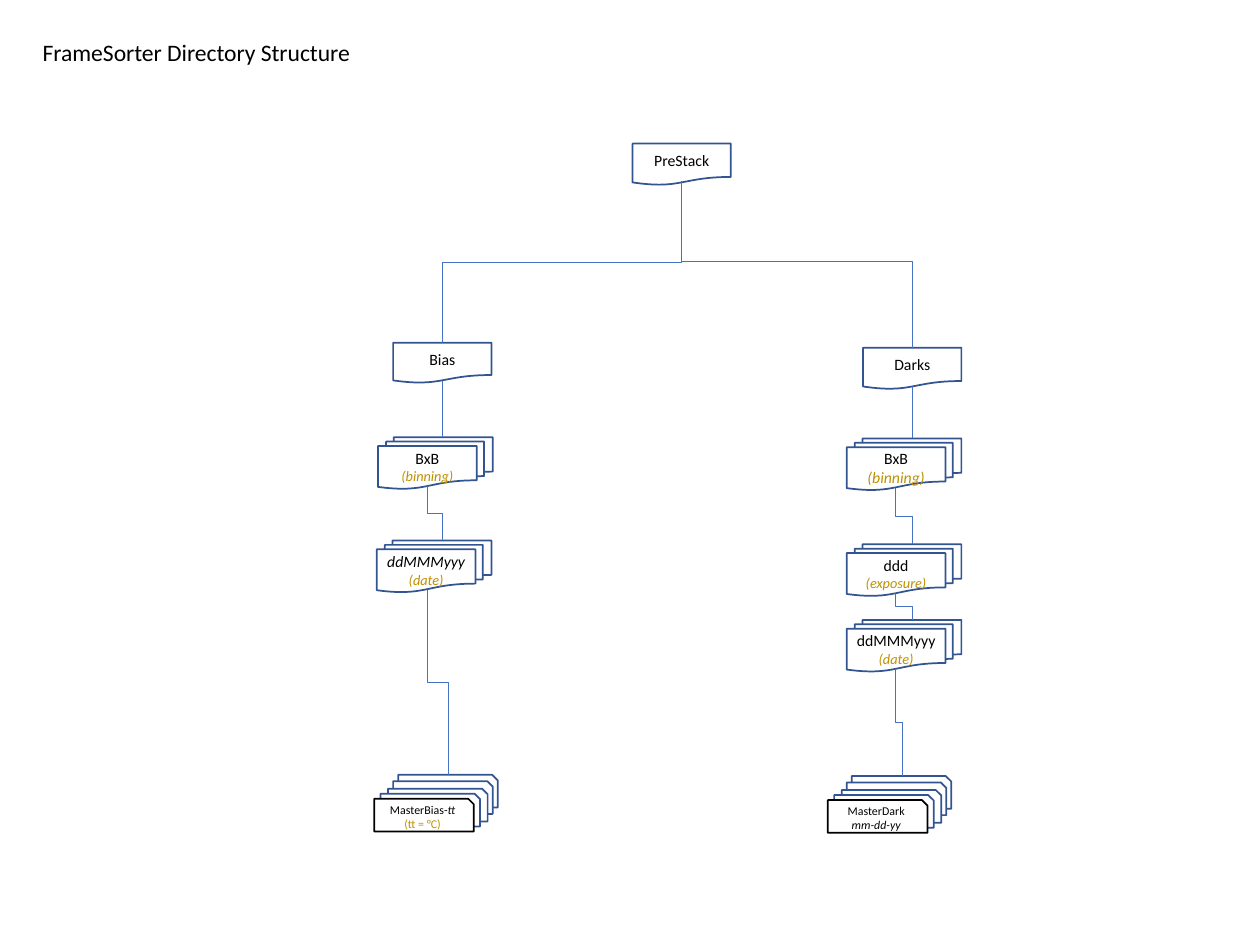
from pptx import Presentation
from pptx.dml.color import RGBColor
from pptx.enum.shapes import MSO_CONNECTOR, MSO_SHAPE
from pptx.enum.text import MSO_ANCHOR, MSO_AUTO_SIZE, PP_ALIGN
from pptx.oxml.ns import qn
from pptx.util import Inches, Pt

BLACK, GOLD, NAVY, BLUE, WHITE = "000000", "BF9000", "325491", "4472C4", "FFFFFF"
DOC, MULTI = MSO_SHAPE.FLOWCHART_DOCUMENT, MSO_SHAPE.FLOWCHART_MULTIDOCUMENT
STACK = [(0.19, -0.19), (0.15, -0.14), (0.11, -0.08), (0.05, -0.04), (0, 0)]


def color(code):
    return RGBColor.from_string(code)


def add_text(para, text, size=9, fill=BLACK, italic=False):
    run = para.add_run()
    run.text = text
    run.font.name = "Calibri"
    run.font.size = Pt(size)
    run.font.italic = italic
    run.font.color.rgb = color(fill)


def add_title(slide, text):
    box = slide.shapes.add_textbox(Inches(0.24), Inches(0.25), Inches(8.42), Inches(0.33))
    frame = box.text_frame
    frame.word_wrap = True
    frame.auto_size = MSO_AUTO_SIZE.SHAPE_TO_FIT_TEXT
    add_text(frame.paragraphs[0], text, size=13.5)


def add_box(shapes, kind, left, top, width, height, lines=(), fill=None, edge=NAVY):
    box = shapes.add_shape(kind, Inches(left), Inches(top), Inches(width), Inches(height))
    box.shadow.inherit = False
    if fill:
        box.fill.solid()
        box.fill.fore_color.rgb = color(fill)
    else:
        box.fill.background()
    box.line.color.rgb = color(edge)
    box.line.width = Pt(1)
    frame = box.text_frame
    frame.word_wrap = True
    frame.vertical_anchor = MSO_ANCHOR.MIDDLE
    frame.margin_left = frame.margin_right = Inches(0.07)
    frame.margin_top = frame.margin_bottom = Inches(0.04)
    for i, runs in enumerate(lines):
        para = frame.add_paragraph() if i else frame.paragraphs[0]
        para.alignment = PP_ALIGN.CENTER
        for text, style in runs:
            add_text(para, text, **style)


def add_folder(slide, left, top, name, height=0.33):
    add_box(slide.shapes, DOC, left, top, 0.78, height, [[(name, {})]])


def add_set(slide, left, top, name, note, size=8.2, italic=False):
    lines = [[(name, {"italic": italic})],
             [(note, {"size": size, "fill": GOLD, "italic": True})]]
    add_box(slide.shapes, MULTI, left, top, 0.91, 0.41, lines)


def add_files(slide, left, top, lines):
    group = slide.shapes.add_group_shape()
    for dx, dy in STACK:
        front = dx == 0
        add_box(group.shapes, MSO_SHAPE.SNIP_1_RECTANGLE, left + dx, top + dy, 0.79, 0.26,
                lines if front else (), WHITE, BLACK if front else NAVY)


def add_link(slide, x1, y1, x2, y2, bend=0.5):
    mid_x, mid_y = (x1 + x2) / 2, (y1 + y2) / 2
    long, wide = (y2 - y1) / 2, abs(x2 - x1) / 2
    link = slide.shapes.add_connector(
        MSO_CONNECTOR.ELBOW, Inches(mid_x - long), Inches(mid_y - wide),
        Inches(mid_x + long), Inches(mid_y + wide))
    link.line.color.rgb = color(BLUE)
    link.line.width = Pt(0.5)
    props = link._element.spPr
    frame = props.find(qn("a:xfrm"))
    if x2 < x1:
        frame.set("rot", str(90 * 60000))
    else:
        frame.set("rot", str(270 * 60000))
        frame.set("flipH", "1")
    guides = props.find(qn("a:prstGeom")).get_or_add_avLst()
    guide = guides.makeelement(qn("a:gd"), {"name": "adj1", "fmla": f"val {round(bend * 100000)}"})
    guides.append(guide)
    props.append(props.makeelement(qn("a:effectLst"), {}))


def main():
    deck = Presentation()
    deck.slide_width, deck.slide_height = Inches(10), Inches(7.5)
    slide = deck.slides.add_slide(deck.slide_layouts[6])
    add_title(slide, "FrameSorter Directory Structure")

    add_folder(slide, 5.02, 1.14, "PreStack")
    add_folder(slide, 3.12, 2.72, "Bias", height=0.32)
    add_folder(slide, 6.85, 2.76, "Darks")

    add_set(slide, 3, 3.47, "BxB", "(binning)")
    add_set(slide, 2.99, 4.29, "ddMMMyyy", "(date)", italic=True)
    add_set(slide, 6.72, 3.48, "BxB", "(binning)", size=9)
    add_set(slide, 6.72, 4.32, "ddd", "(exposure)")
    add_set(slide, 6.72, 4.92, "ddMMMyyy", "(date)")

    small = {"size": 6.8}
    slant = {"size": 6.8, "italic": True}
    add_files(slide, 2.97, 6.34, [[("MasterBias-", small), ("tt", slant)],
                                  [("(tt = °C)", {"size": 6.8, "fill": GOLD})]])
    add_files(slide, 6.57, 6.35, [[("MasterDark ", small), ("mm-dd-yy", slant)]])

    links = [
        (5.41, 1.44, 3.51, 2.72), (5.41, 1.44, 7.24, 2.76, 0.48),
        (3.51, 3.02, 3.51, 3.47), (3.39, 3.86, 3.51, 4.29), (3.39, 4.68, 3.56, 6.15),
        (7.24, 3.06, 7.24, 3.48), (7.11, 3.87, 7.24, 4.32), (7.11, 4.71, 7.24, 4.92),
        (7.11, 5.31, 7.16, 6.16),
    ]
    for link in links:
        add_link(slide, *link)
    deck.save("out.pptx")


main()
